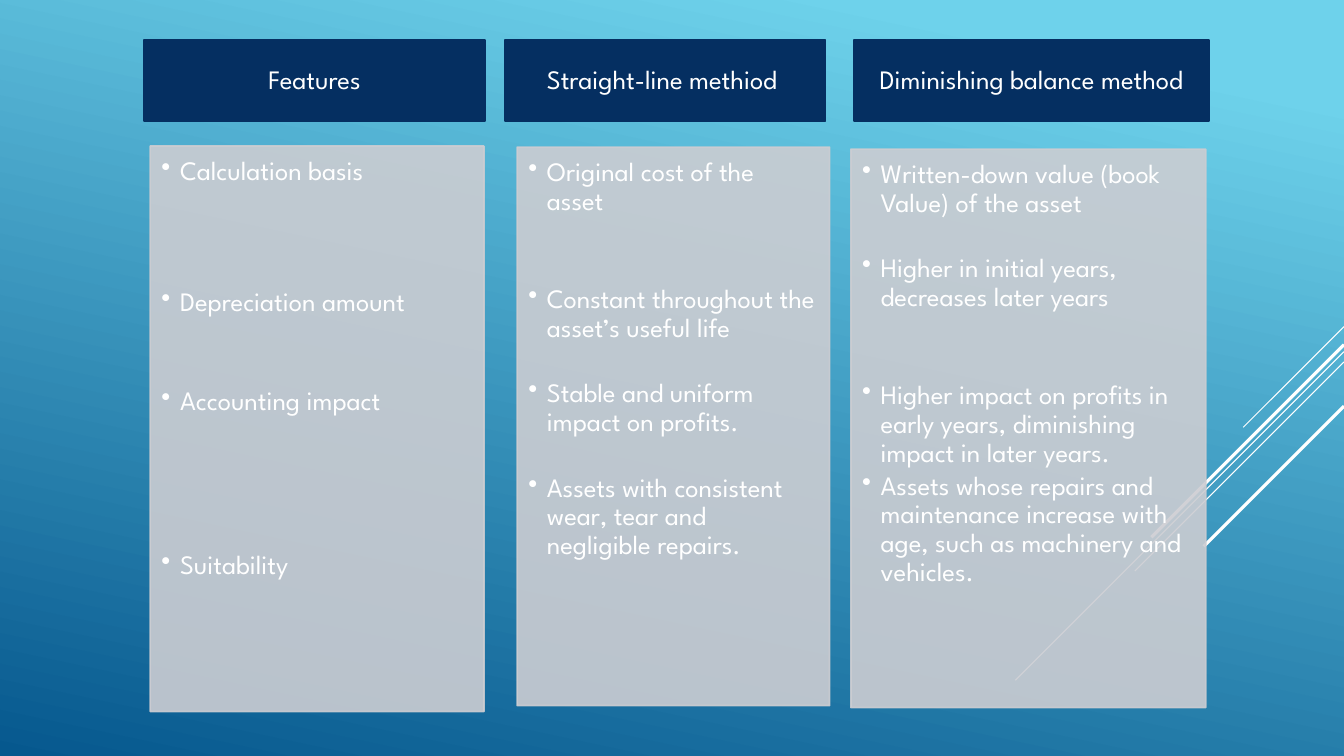
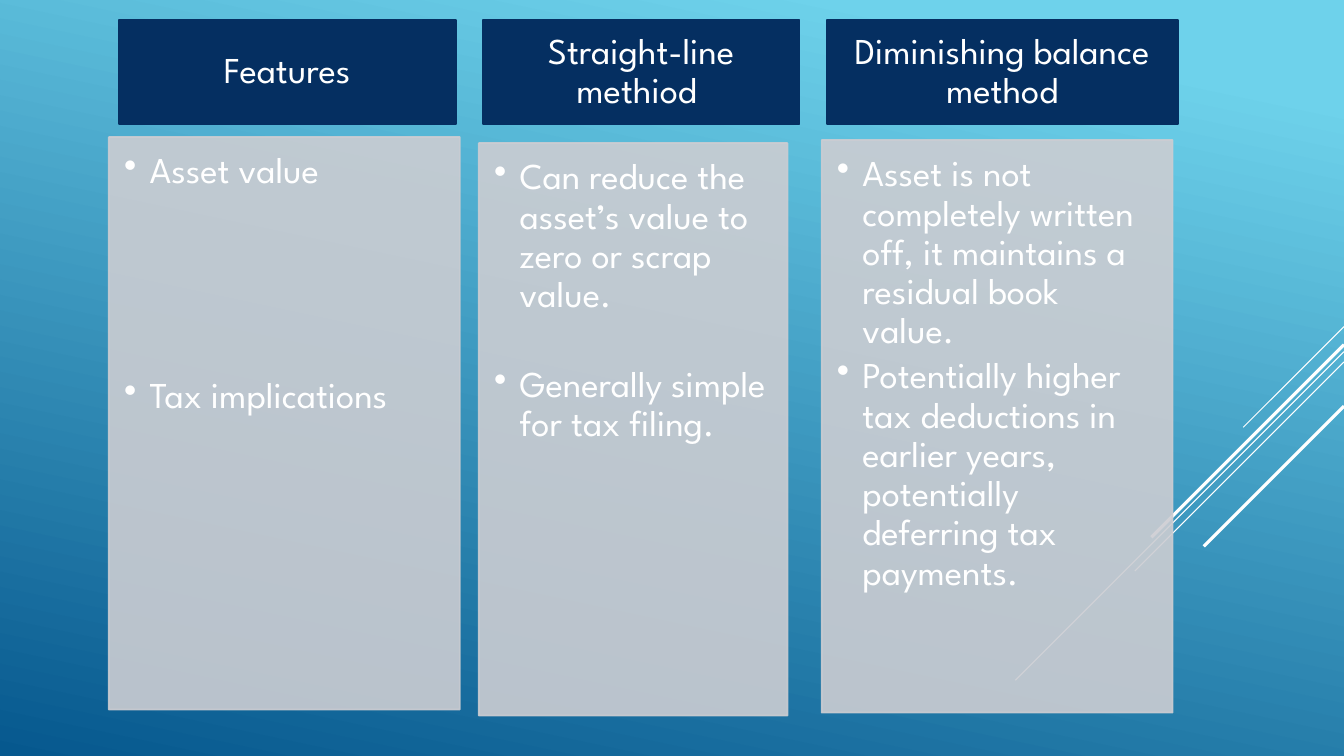
from dataclasses import dataclass

from lxml import etree
from pptx import Presentation
from pptx import util as u
from pptx.dml.color import RGBColor
from pptx.enum import shapes, text
from pptx.oxml.ns import qn


@dataclass(frozen=True)
class Theme:
    """Slide size, colours, font and type sizes shared by the slides."""
    width: int = u.Inches(13.33)
    height: int = u.Inches(7.5)
    sky: str = "6ED2EB"
    deep: str = "06588E"
    navy: str = "052F61"
    grey: str = "CCCDD2"
    white: str = "FFFFFF"
    font: str = "League Spartan"
    small: int = 19
    large: int = 26
    outline: float = 1.25
    panel_alpha: int = 90


T = Theme()
HEADS = ("Features", "Straight-line methiod ", "Diminishing balance method")
RAYS = ((43.2, 7.5, 0.75), (46.53, 24.45, 0.75), (47.87, 15.56, 0.75),
        (45.6, 14.33, 2.25), (53.73, 10.43, 2.25))

METHODS = (
    ((10.73, 5.33, 25.35, 10.67), (11.18, 19.33, 24.83, 74.8),
     ((0, "Calculation basis"), (3, "Depreciation amount"),
      (2, "Accounting impact"), (4, "Suitability"))),
    ((37.58, 5.33, 23.85, 10.67), (38.48, 19.47, 23.25, 73.87),
     ((0, "Original cost of the asset"),
      (2, "Constant throughout the asset’s useful life"),
      (1, "Stable and uniform impact on profits."),
      (1, "Assets with consistent wear, tear and negligible repairs."))),
    ((63.54, 5.33, 26.4, 10.67), (63.31, 19.73, 26.4, 73.87),
     ((0, "Written-down value (book Value) of the asset"),
      (1, "Higher in initial years, decreases later years"),
      (2, "Higher impact on profits in early years, diminishing impact in later years."),
      (0, "Assets whose repairs and maintenance increase with age, such as machinery and vehicles."))),
)
VALUE_AND_TAX = (
    ((8.85, 2.67, 25.06, 13.73), (8.1, 18.13, 26.11, 75.73),
     ((0, "Asset value"), (4, "Tax implications"))),
    ((35.93, 2.67, 23.56, 13.73), (35.63, 18.93, 22.96, 75.73),
     ((0, "Can reduce the asset’s value to zero or scrap value."),
      (1, "Generally simple for tax filing."))),
    ((61.52, 2.67, 26.11, 13.73), (61.14, 18.53, 26.11, 75.73),
     ((0, "Asset is not completely written off, it maintains a residual book value."),
      (0, "Potentially higher tax deductions in earlier years, potentially deferring tax payments."))),
)


def across(share):
    """Turn a percentage of the slide width into a length."""
    return round(T.width * share / 100)


def down(share):
    """Turn a percentage of the slide height into a length."""
    return round(T.height * share / 100)


def paint_background(master):
    """Give the master the diagonal sky gradient."""
    fill = master.background.fill
    fill.gradient()
    fill.gradient_angle = 258
    for stop, (place, colour) in zip(fill.gradient_stops, ((0.1, T.sky), (1, T.deep))):
        stop.position = place
        stop.color.rgb = RGBColor.from_string(colour)


def add_rays(s):
    """Draw the diagonal rays that run in from the right edge."""
    for top, run, weight in RAYS:
        y, reach = down(top), across(run)
        ray = s.shapes.add_connector(shapes.MSO_CONNECTOR.STRAIGHT,
                                     T.width, y, T.width - reach, y + reach)
        ray.line.color.rgb = RGBColor.from_string(T.white)
        ray.line.width = u.Pt(weight)
        etree.SubElement(ray._element.spPr, qn("a:effectLst"))


def add_panel(s, box, colour, size, insets, alpha=100):
    """Draw a rectangle with insets in ems and return its text frame."""
    x, y, w, h = box
    sp = s.shapes.add_shape(shapes.MSO_SHAPE.RECTANGLE,
                            across(x), down(y), across(w), down(h))
    sp.shadow.inherit = False
    sp.fill.solid()
    sp.fill.fore_color.rgb = sp.line.color.rgb = RGBColor.from_string(colour)
    sp.line.width = u.Pt(T.outline)
    if alpha < 100:
        for tint in sp._element.spPr.iter(qn("a:srgbClr")):
            etree.SubElement(tint, qn("a:alpha"), val=str(alpha * 1000))
    tf = sp.text_frame
    tf.word_wrap = True
    tf.margin_left, tf.margin_top, tf.margin_right, tf.margin_bottom = (
        u.Pt(size * ems) for ems in insets)
    return tf


def write(p, words, size, align):
    """Fill a paragraph and set its type."""
    p.text = words
    p.alignment = align
    p.line_spacing = 0.9
    f = p.runs[0].font
    f.name, f.size = T.font, u.Pt(size)
    f.color.rgb = RGBColor.from_string(T.white)


def add_heading(s, box, words, size):
    """Place a navy column heading."""
    tf = add_panel(s, box, T.navy, size, (0.56, 0.32, 0.56, 0.32))
    tf.vertical_anchor = text.MSO_ANCHOR.MIDDLE
    write(tf.paragraphs[0], words, size, text.PP_ALIGN.CENTER)


def add_points(s, box, points, size):
    """Place a translucent panel of bullets, each led by a number of skipped lines."""
    tf = add_panel(s, box, T.grey, size, (0.42, 0.42, 0.56, 0.63), T.panel_alpha)
    tf.vertical_anchor = text.MSO_ANCHOR.TOP
    for i, (skipped, words) in enumerate(points):
        p = tf.add_paragraph() if i else tf.paragraphs[0]
        write(p, words, size, text.PP_ALIGN.LEFT)
        p.space_before = u.Pt(1.235 * size * skipped)
        p.space_after = u.Pt(0.15 * size)
        pPr = p._p.get_or_add_pPr()
        indent = u.Pt(0.7 * size)
        pPr.set("marL", str(indent))
        pPr.set("indent", str(-indent))
        etree.SubElement(pPr, qn("a:buChar"), char="•")


def add_comparison(prs, columns, size):
    """Add a slide that compares the methods in headed columns."""
    s = prs.slides.add_slide(prs.slide_layouts[6])
    add_rays(s)
    for head, (head_box, body_box, points) in zip(HEADS, columns):
        add_heading(s, head_box, head, size)
        add_points(s, body_box, points, size)


def main():
    """Build and save the presentation."""
    prs = Presentation()
    prs.slide_width, prs.slide_height = T.width, T.height
    paint_background(prs.slide_master)
    add_comparison(prs, METHODS, T.small)
    add_comparison(prs, VALUE_AND_TAX, T.large)
    prs.save("out.pptx")


if __name__ == "__main__":
    main()
